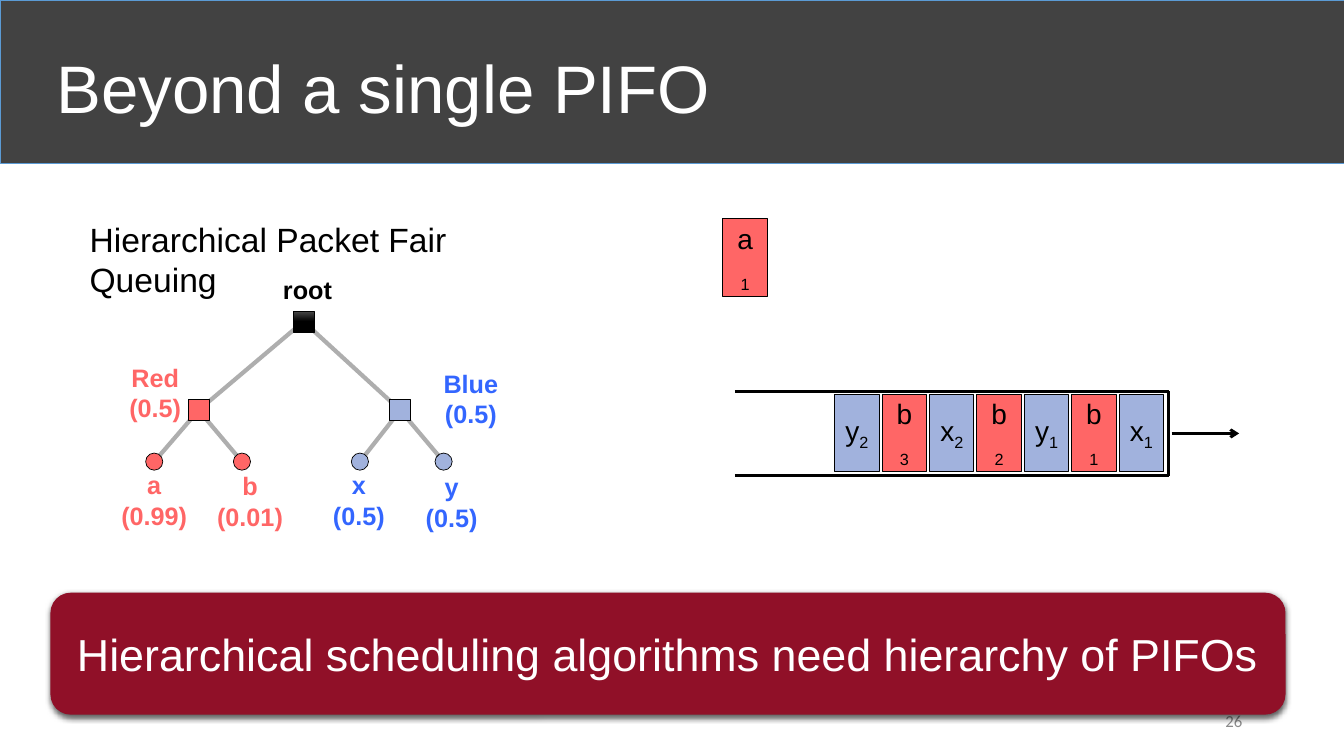
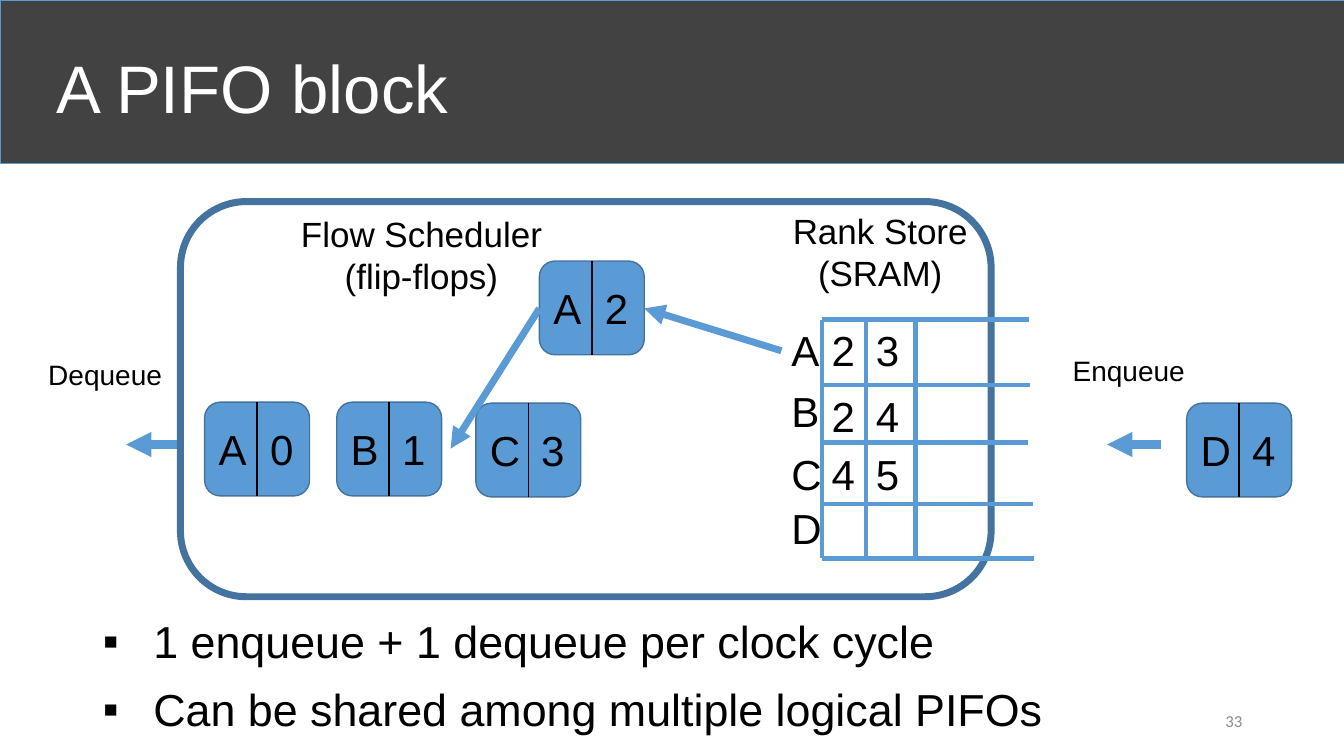
"""Build two slides about PIFO scheduling hierarchies and PIFO blocks."""
from lxml import etree
from pptx import Presentation
from pptx.dml.color import RGBColor
from pptx.enum import shapes, text
from pptx.oxml import ns
from pptx.util import Inches, Pt

WHITE = RGBColor(0xFF, 0xFF, 0xFF)
BLACK = RGBColor(0x00, 0x00, 0x00)
CHARCOAL = RGBColor(0x42, 0x42, 0x42)
ROOT_SHEEN = RGBColor(0x4B, 0x4B, 0x4B)
EDGE_GRAY = RGBColor(0xAE, 0xAE, 0xAE)
NUMBER_GRAY = RGBColor(0x8C, 0x8C, 0x8C)
SKY = RGBColor(0x5B, 0x9B, 0xD5)
STEEL = RGBColor(0x43, 0x73, 0x9E)
RED = RGBColor(0xFF, 0x66, 0x66)
PALE_BLUE = RGBColor(0xA1, 0xB2, 0xDD)
BLUE = RGBColor(0x33, 0x66, 0xFF)
CRIMSON = RGBColor(0x90, 0x10, 0x28)

RECT = shapes.MSO_SHAPE.RECTANGLE
ROUNDED = shapes.MSO_SHAPE.ROUNDED_RECTANGLE
OVAL = shapes.MSO_SHAPE.OVAL
LEFT, CENTER, RIGHT = text.PP_ALIGN.LEFT, text.PP_ALIGN.CENTER, text.PP_ALIGN.RIGHT
TOP, MIDDLE = text.MSO_ANCHOR.TOP, text.MSO_ANCHOR.MIDDLE
NO_FIT = text.MSO_AUTO_SIZE.NONE


class Deck:
    """Hold the shared style and the slide being drawn."""

    def __init__(self):
        """Set the page size."""
        self.show = Presentation()
        self.show.slide_width, self.show.slide_height = Inches(13.33), Inches(7.5)
        self.slide = None
        self.banded = False

    def apply(self, target, values):
        """Set each format value on the target."""
        for name, value in values.items():
            setattr(target, name, value)

    def place(self, item, box):
        """Move an item to left, top, width, height in inches."""
        self.apply(item, dict(zip(("left", "top", "width", "height"), map(Inches, box))))

    def add_slide(self, title, number, layout):
        """Start a slide with the shared band, title and number."""
        self.slide = self.show.slides.add_slide(self.show.slide_layouts[layout])
        if not self.banded:
            band = self.shape(RECT, (0, 0, 13.33, 1.62), CHARCOAL, SKY, 0.5)
            self.show.slide_master.shapes.element.insert(2, band.element)
            self.banded = True
        heading = self.slide.shapes.title
        self.place(heading, (0.46, 0.13, 11.5, 1.45))
        self.fill_text(heading, [title], 48, WHITE, align=LEFT, anchor=MIDDLE)
        self.label([number], (9.42, 6.95, 3, 0.4), 12, NUMBER_GRAY,
                   align=RIGHT, anchor=MIDDLE, font="Calibri")

    def fill_text(self, holder, lines, size, color, align=CENTER, anchor=TOP,
                  bold=False, font="Arial"):
        """Fill a holder, one paragraph a line; a pair sets a subscript."""
        frame = holder.text_frame
        self.apply(frame, {"word_wrap": True, "auto_size": NO_FIT, "vertical_anchor": anchor})
        for index, line in enumerate(lines):
            paragraph = frame.add_paragraph() if index else frame.paragraphs[0]
            paragraph.alignment = align
            for level, part in enumerate((line,) if isinstance(line, str) else line):
                run = paragraph.add_run()
                run.text = part
                self.apply(run.font, {"size": Pt(size), "bold": bold, "name": font})
                run.font.color.rgb = color
                if level:
                    holder.element.findall(".//" + ns.qn("a:rPr"))[-1].set("baseline", "-25000")
        return frame

    def label(self, lines, box, size, color=BLACK, **style):
        """Add a text box."""
        holder = self.slide.shapes.add_textbox(*map(Inches, box))
        self.fill_text(holder, lines, size, color, **style)

    def shape(self, kind, box, fill=None, line=None, weight=1):
        """Add a flat preset shape."""
        item = self.slide.shapes.add_shape(kind, *map(Inches, box))
        item.shadow.inherit = False
        for paint, color in ((item.fill, fill), (item.line.fill, line)):
            if color is None:
                paint.background()
            else:
                paint.solid()
                paint.fore_color.rgb = color
        if line is not None:
            item.line.width = Pt(weight)
        return item

    def line(self, start, end, color, weight, head=None):
        """Add a straight line, with an arrowhead at its end if named."""
        link = self.slide.shapes.add_connector(
            shapes.MSO_CONNECTOR.STRAIGHT, *map(Inches, (*start, *end)))
        link.line.color.rgb = color
        link.line.width = Pt(weight)
        outline = link.element.spPr.find(ns.qn("a:ln"))
        if head:
            etree.SubElement(outline, ns.qn("a:tailEnd"), type=head)
        etree.SubElement(link.element.spPr, ns.qn("a:effectLst"))

    def packet(self, left, top, flow, index, color):
        """Add a queued packet with a subscript."""
        packet = self.shape(RECT, (left, top, 0.44, 0.77), color, BLACK, 0.75)
        self.fill_text(packet, [(flow, index)], 20, BLACK, anchor=MIDDLE)

    def node(self, kind, center, side, color):
        """Add a tree node around its centre and return it."""
        x, y = center
        return self.shape(kind, (x - side / 2, y - side / 2, side, side), color, BLACK, 0.5)

    def entry(self, left, top, flow, rank):
        """Add a scheduler entry split into flow and rank."""
        self.shape(ROUNDED, (left, top, 1.04, 0.93), SKY, STEEL)
        self.line((left + 0.52, top), (left + 0.52, top + 0.93), BLACK, 1)
        self.symbol(flow, left + 0.04, top + 0.16)
        self.symbol(rank, left + 0.55, top + 0.16)

    def symbol(self, sign, left, top):
        """Add one large letter or digit."""
        self.label([sign], (left, top, 0.5, 0.61), 30, align=LEFT)

    def banner(self, message):
        """Add the takeaway banner with a soft shadow."""
        banner = self.shape(ROUNDED, (0.5, 5.88, 12.25, 1.21), CRIMSON)
        self.fill_text(banner, [message], 32, WHITE, anchor=MIDDLE)
        effects = banner.element.spPr.find(ns.qn("a:effectLst"))
        shadow = etree.SubElement(effects, ns.qn("a:outerShdw"), blurRad=str(Pt(4.5)),
                                  dist=str(Pt(1.5)), dir="5400000", rotWithShape="0")
        tint = etree.SubElement(shadow, ns.qn("a:srgbClr"), val=str(BLACK))
        etree.SubElement(tint, ns.qn("a:alpha"), val="63000")

    def bullets(self, points, box):
        """Fill the body placeholder with square bullets."""
        body = self.slide.placeholders[1]
        self.place(body, box)
        for paragraph in self.fill_text(body, points, 32, BLACK, align=LEFT).paragraphs:
            paragraph.space_before = Pt(10)
        for props in body.element.findall(".//" + ns.qn("a:pPr")):
            props.set("marL", str(Inches(0.5)))
            props.set("indent", str(Inches(-0.5)))
            etree.SubElement(props, ns.qn("a:buFont"), typeface="Arial")
            etree.SubElement(props, ns.qn("a:buChar"), char="▪")


def hierarchy_slide(deck):
    """Draw the fair queuing tree beside its packet queue."""
    deck.add_slide("Beyond a single PIFO", "26", 5)

    right, top, bottom = 11.59, 3.88, 4.72
    deck.line((11.62, 4.3), (12.29, 4.3), BLACK, 2, "arrow")
    for y in (top, bottom):
        deck.line((7.29, y), (right, y), BLACK, 2)
    deck.line((right, bottom), (right, top), BLACK, 2)
    for place, (flow, index) in enumerate(("y2", "b3", "x2", "b2", "y1", "b1", "x1")):
        deck.packet(8.28 + 0.47 * place, 3.91, flow, index, RED if flow == "b" else PALE_BLUE)
    deck.packet(7.17, 2.17, "a", "1", RED)

    root = (3.01, 3.19)
    classes = (
        ((1.97, 4.07), RED, (1.53, 4.58), (2.4, 4.58)),
        ((3.97, 4.07), PALE_BLUE, (3.57, 4.58), (4.4, 4.58)),
    )
    for parent, _, *leaves in classes:
        deck.line(root, parent, EDGE_GRAY, 3)
        for leaf in leaves:
            deck.line(parent, leaf, EDGE_GRAY, 3)
    for parent, color, *leaves in classes:
        deck.node(RECT, parent, 0.21, color)
        for leaf in leaves:
            deck.node(OVAL, leaf, 0.17, color)
    sheen = deck.node(RECT, root, 0.21, BLACK).fill
    sheen.gradient()
    sheen.gradient_angle = 270
    for stop, color, position in zip(sheen.gradient_stops, (ROOT_SHEEN, BLACK), (0, 0.5)):
        stop.color.rgb = color
        stop.position = position

    for name, share, center, y, color in (
        ("Red", "(0.5)", 1.54, 3.54, RED), ("Blue", "(0.5)", 4.67, 3.6, BLUE),
        ("a", "(0.99)", 1.53, 4.61, RED), ("b", "(0.01)", 2.48, 4.62, RED),
        ("x", "(0.5)", 3.56, 4.61, BLUE), ("y", "(0.5)", 4.48, 4.63, BLUE),
    ):
        deck.label([name, share], (center - 0.5, y, 1, 0.71), 18, color, bold=True)
    deck.label(["root"], (2.55, 2.67, 1, 0.4), 18, bold=True)
    deck.label(["Hierarchical Packet Fair Queuing"], (0.79, 2.12, 4.88, 0.9), 24, align=LEFT)
    deck.banner("Hierarchical scheduling algorithms need hierarchy of PIFOs")


def block_slide(deck):
    """Draw the flow scheduler and rank store inside one block."""
    deck.add_slide("A PIFO block", "33", 1)

    for action, left, top, tail in (("Dequeue", 0.38, 3.5, 1.79), ("Enqueue", 10.54, 3.46, 11.52)):
        deck.line((tail, 4.41), (tail - 0.54, 4.41), SKY, 6, "triangle")
        deck.label([action], (left, top, 1.34, 0.44), 20, align=LEFT)
    deck.shape(ROUNDED, (1.79, 2, 8.04, 3.92), None, STEEL, 5)
    deck.label(["Flow Scheduler", "(flip-flops)"], (2.56, 2.06, 3.24, 0.94), 25)
    deck.label(["Rank Store", "(SRAM)"], (7.71, 2.03, 2.04, 0.94), 25)

    columns = (8.15, 8.59, 9.08)
    for y, end in ((3.17, 10.21), (3.82, 10.22), (4.39, 10.2), (5, 10.25), (5.54, 10.26)):
        deck.line((columns[0], y), (end, y), SKY, 3)
    for x in columns:
        deck.line((x, 3.17), (x, 5.54), SKY, 3)
    for flow, flow_top, ranks, rank_top in (
        ("A", 3.17, "23", 3.17), ("B", 3.78, "24", 3.82),
        ("C", 4.4, "45", 4.4), ("D", 4.94, "", 4.94),
    ):
        deck.symbol(flow, 7.75, flow_top)
        for x, rank in zip(columns, ranks):
            deck.symbol(rank, x, rank_top)

    for left, top, flow, rank in (
        (2.03, 3.99, "A", "0"), (3.34, 3.99, "B", "1"), (4.72, 4, "C", "3"),
        (5.35, 2.59, "A", "2"), (11.77, 4, "D", "4"),
    ):
        deck.entry(left, top, flow, rank)
    for start, end in (((7.75, 3.48), (6.39, 3.06)), ((5.35, 3.06), (4.47, 4.45))):
        deck.line(start, end, SKY, 5, "triangle")

    deck.bullets(["1 enqueue + 1 dequeue per clock cycle",
                  "Can be shared among multiple logical PIFOs"], (0.92, 6.04, 11.5, 1.42))


def main():
    """Build and save the slides."""
    deck = Deck()
    hierarchy_slide(deck)
    block_slide(deck)
    deck.show.save("out.pptx")


if __name__ == "__main__":
    main()
